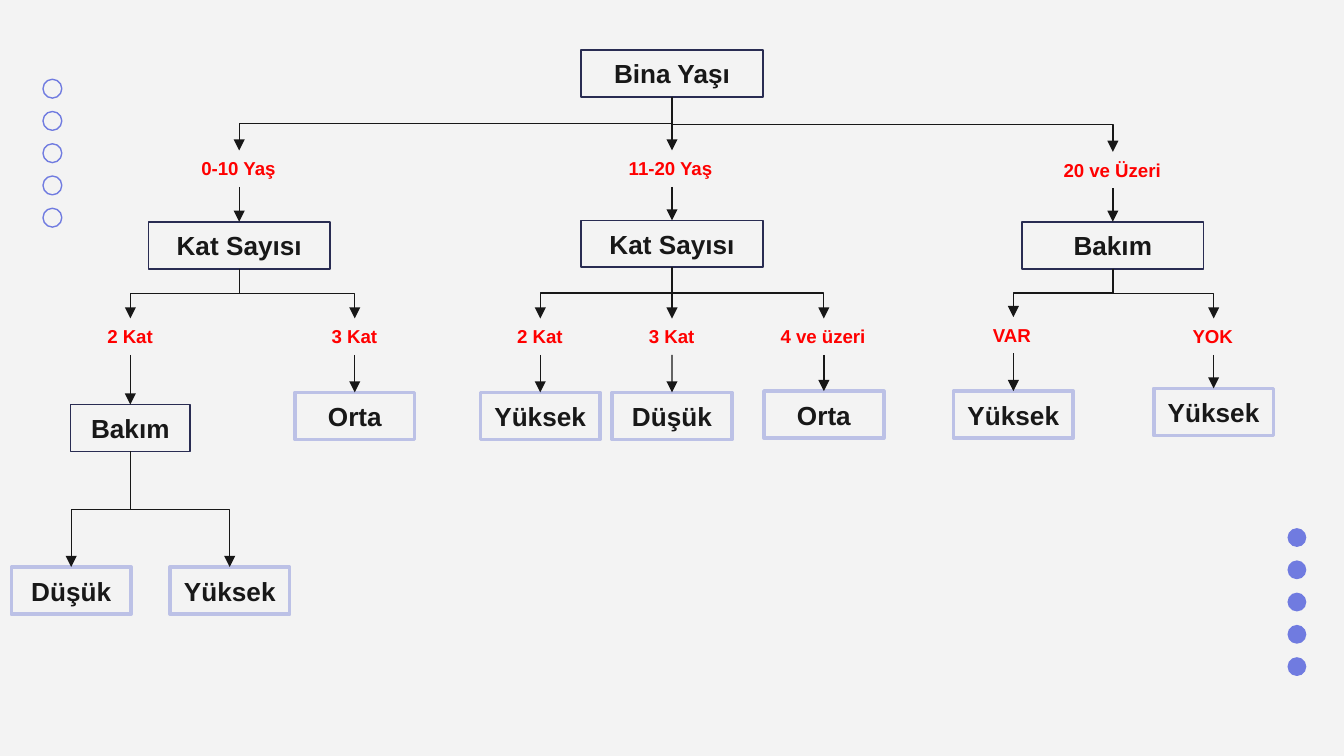
from dataclasses import dataclass

from lxml import etree
from pptx import Presentation
from pptx import util as u
from pptx.dml.color import RGBColor
from pptx.enum import shapes, text
from pptx.oxml.ns import qn

PAPER, INK, ARROW = "F3F3F3", "181818", "171717"
NAVY, LILAC, DOT, RED = "292C52", "BCC1E6", "707BE0", "FF0000"
WIDE, NARROW = 1.35, 0.89
BOX_HEIGHT, LABEL_HEIGHT = 0.35, 0.27
TOP, BOTTOM = 0, 2


@dataclass
class Node:
    """A decision or outcome; label is the condition that leads to it."""
    name: str
    centre: float
    top: float
    width: float = NARROW
    label: str = ""
    label_top: float = 0
    label_width: float = 0
    branches: tuple = ()


TREE = Node("Bina Yaşı", 5, 0.37, WIDE, branches=(
    Node("Kat Sayısı", 1.78, 1.65, WIDE, "0-10 Yaş", 1.12, 0.76, (
        Node("Bakım", 0.97, 3.01, NARROW, "2 Kat", 2.37, 0.54, (
            Node("Düşük", 0.53, 4.22),
            Node("Yüksek", 1.71, 4.22))),
        Node("Orta", 2.64, 2.92, NARROW, "3 Kat", 2.37, 0.54))),
    Node("Kat Sayısı", 5, 1.64, WIDE, "11-20 Yaş", 1.12, 0.84, (
        Node("Yüksek", 4.02, 2.92, NARROW, "2 Kat", 2.37, 0.54),
        Node("Düşük", 5, 2.92, NARROW, "3 Kat", 2.37, 0.54),
        Node("Orta", 6.13, 2.91, NARROW, "4 ve üzeri", 2.37, 0.84))),
    Node("Bakım", 8.28, 1.65, WIDE, "20 ve Üzeri", 1.13, 0.93, (
        Node("Yüksek", 7.54, 2.91, NARROW, "VAR", 2.36, 0.5),
        Node("Yüksek", 9.03, 2.89, NARROW, "YOK", 2.37, 0.51))),
))


def color(code):
    return RGBColor.from_string(code)


def paint(shape, fill=None, line=None, width=1):
    shape.shadow.inherit = False
    if fill:
        shape.fill.solid()
        shape.fill.fore_color.rgb = color(fill)
    else:
        shape.fill.background()
    if line:
        shape.line.color.rgb = color(line)
        shape.line.width = u.Pt(width)
    else:
        shape.line.fill.background()


def write(box, words, size, ink, align):
    para = box.text_frame.paragraphs[0]
    para.alignment = align
    span = para.add_run()
    span.text = words
    span.font.name = "Arial"
    span.font.size = u.Pt(size)
    span.font.bold = True
    span.font.color.rgb = color(ink)


def add_dots(page, left, top, **style):
    for row in range(5):
        dot = page.shapes.add_shape(
            shapes.MSO_SHAPE.OVAL, u.Inches(left), u.Inches(top + 0.24 * row),
            u.Inches(0.14), u.Inches(0.14))
        paint(dot, **style)


def add_box(page, node):
    box = page.shapes.add_shape(
        shapes.MSO_SHAPE.RECTANGLE, u.Inches(node.centre - node.width / 2),
        u.Inches(node.top), u.Inches(node.width), u.Inches(BOX_HEIGHT))
    if node.branches:
        paint(box, line=NAVY)
    else:
        paint(box, fill=PAPER, line=LILAC, width=2)
    frame = box.text_frame
    frame.margin_left = frame.margin_right = 0
    frame.vertical_anchor = text.MSO_ANCHOR.MIDDLE
    write(box, node.name, size=14, ink=INK, align=text.PP_ALIGN.CENTER)
    return box


def add_label(page, node):
    box = page.shapes.add_textbox(
        u.Inches(node.centre - node.label_width / 2), u.Inches(node.label_top),
        u.Inches(node.label_width), u.Inches(LABEL_HEIGHT))
    box.text_frame.word_wrap = False
    box.text_frame.auto_size = text.MSO_AUTO_SIZE.SHAPE_TO_FIT_TEXT
    write(box, node.label, size=10, ink=RED, align=text.PP_ALIGN.LEFT)
    return box


def add_arrow(page, upper, lower, kind=shapes.MSO_CONNECTOR.STRAIGHT):
    arrow = page.shapes.add_connector(kind, 0, 0, 0, 0)
    arrow.begin_connect(upper, BOTTOM)
    arrow.end_connect(lower, TOP)
    arrow.line.color.rgb = color(ARROW)
    arrow.line.width = u.Pt(0.75)
    line = arrow.line._get_or_add_ln()
    etree.SubElement(line, qn("a:tailEnd"), type="triangle")
    etree.SubElement(arrow._element.spPr, qn("a:effectLst"))
    return arrow


def add_elbow(page, upper, lower):
    """Turn the elbow a quarter so that it leaves and arrives vertically."""
    arrow = add_arrow(page, upper, lower, shapes.MSO_CONNECTOR.ELBOW)
    run = arrow.end_x - arrow.begin_x
    drop = arrow.end_y - arrow.begin_y
    middle_x = (arrow.begin_x + arrow.end_x) // 2
    middle_y = (arrow.begin_y + arrow.end_y) // 2
    arrow.left, arrow.top = middle_x - drop // 2, middle_y - abs(run) // 2
    arrow.width, arrow.height = drop, abs(run)
    frame = arrow._element.spPr.find(qn("a:xfrm"))
    for flip in ("flipH", "flipV"):
        frame.attrib.pop(flip, None)
    frame.set("rot", str((270 if run > 0 else 90) * 60000))
    if run > 0:
        frame.set("flipH", "1")


def grow(page, node):
    """Draw a node and everything below it, and return its box."""
    box = add_box(page, node)
    for branch in node.branches:
        child = grow(page, branch)
        if branch.label:
            label = add_label(page, branch)
            add_elbow(page, box, label)
            add_arrow(page, label, child)
        else:
            add_elbow(page, box, child)
    return box


def main():
    deck = Presentation()
    deck.slide_width = u.Inches(10)
    deck.slide_height = deck.slide_width * 9 // 16
    page = deck.slides.add_slide(deck.slide_layouts[6])
    page.background.fill.solid()
    page.background.fill.fore_color.rgb = color(PAPER)
    add_dots(page, 0.32, 0.59, line=DOT, width=0.75)
    add_dots(page, 9.58, 3.93, fill=DOT)
    grow(page, TREE)
    deck.save("out.pptx")


if __name__ == "__main__":
    main()
